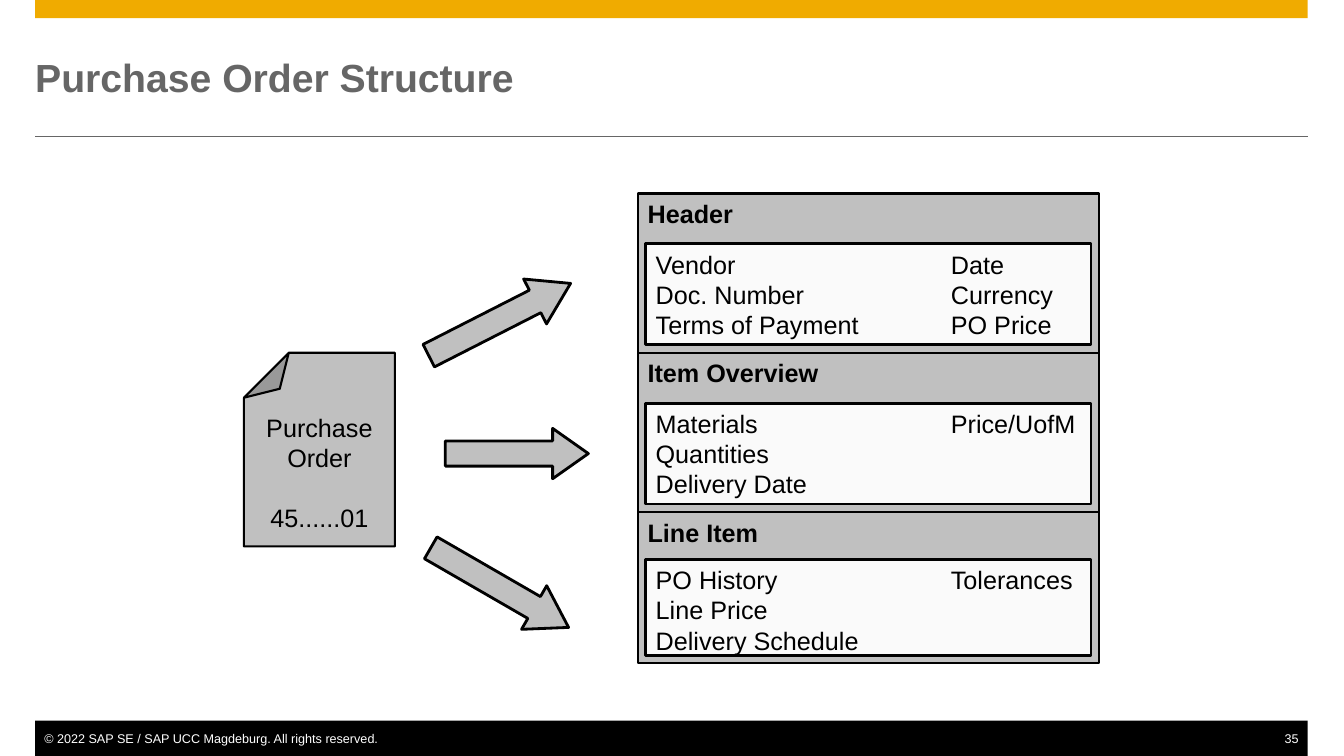
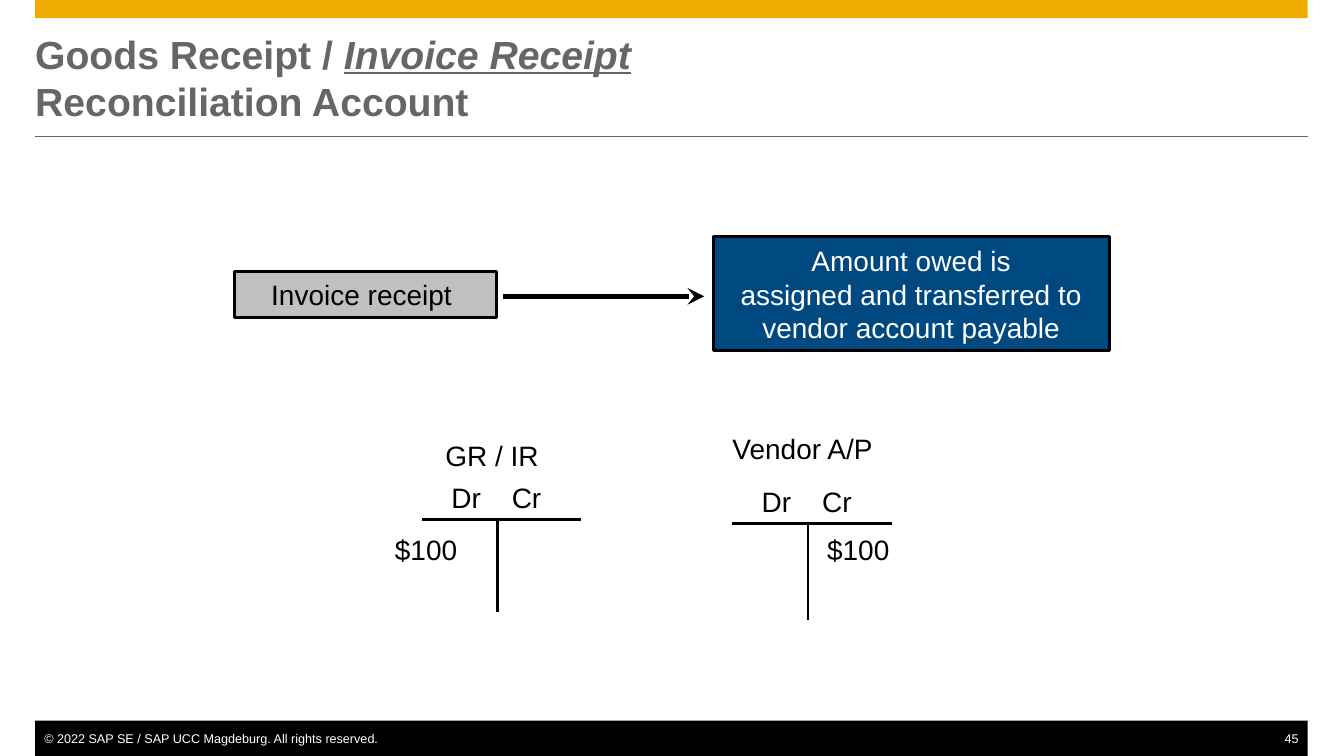
from dataclasses import dataclass

from lxml import etree
from pptx import Presentation
from pptx.dml.color import RGBColor
from pptx.enum.shapes import MSO_CONNECTOR, MSO_SHAPE
from pptx.enum.text import MSO_ANCHOR, PP_ALIGN
from pptx.oxml.ns import qn
from pptx.util import Pt

PX = 9144  # EMU in one px, 100 px to the inch
RECT, ARROW, SHEET = MSO_SHAPE.RECTANGLE, MSO_SHAPE.RIGHT_ARROW, MSO_SHAPE.FOLDED_CORNER
STRAIGHT = MSO_CONNECTOR.STRAIGHT
TOP, MIDDLE = MSO_ANCHOR.TOP, MSO_ANCHOR.MIDDLE
LEFT, CENTER, RIGHT = PP_ALIGN.LEFT, PP_ALIGN.CENTER, PP_ALIGN.RIGHT


@dataclass(frozen=True)
class Theme:
    font: str = "Arial"
    gold: str = "F0AB00"
    title: str = "666666"
    black: str = "000000"
    white: str = "FFFFFF"
    grey: str = "C0C0C0"
    panel: str = "FAFAFA"
    blue: str = "004880"
    title_size: int = 28
    flow_size: int = 20
    body_size: int = 18
    footer_size: int = 9


T = Theme()
SLIDE_W, SLIDE_H = 1334, 750
MARGIN, CONTENT_W = 35, 1263
COPYRIGHT = "© 2022 SAP SE / SAP UCC Magdeburg. All rights reserved."


def px(*lengths):
    return [n * PX for n in lengths]


def add_tab(p, position):
    tabs = etree.SubElement(p._p.get_or_add_pPr(), qn("a:tabLst"))
    etree.SubElement(tabs, qn("a:tab"), pos=str(position * PX), algn="l")


def write(sp, lines, size, color=T.black, align=LEFT, anchor=TOP, bold=False,
          insets=(10, 5, 10, 5), tab=None):
    """Fill a shape; a line is a string or a list of (text, emphasised) runs."""
    tf = sp.text_frame
    tf.word_wrap = True
    tf.vertical_anchor = anchor
    tf.margin_left, tf.margin_top, tf.margin_right, tf.margin_bottom = px(*insets)
    for i, line in enumerate(lines):
        p = tf.add_paragraph() if i else tf.paragraphs[0]
        p.alignment = align
        if tab:
            add_tab(p, tab)
        for text, emphasised in [(line, False)] if isinstance(line, str) else line:
            r = p.add_run()
            r.text = text
            f = r.font
            f.name, f.size, f.bold = T.font, Pt(size), bold
            f.color.rgb = RGBColor.from_string(color)
            if emphasised:
                f.italic = f.underline = True
    return tf


def add_shape(s, kind, box, fill, line=None):
    sp = s.shapes.add_shape(kind, *px(*box))
    sp.shadow.inherit = False
    sp.fill.solid()
    sp.fill.fore_color.rgb = RGBColor.from_string(fill)
    if line:
        sp.line.color.rgb = RGBColor.from_string(T.black)
        sp.line.width = Pt(line)
    else:
        sp.line.fill.background()
    return sp


def add_text(s, box, lines, size, **style):
    return write(s.shapes.add_textbox(*px(*box)), lines, size, **style)


def add_line(s, x1, y1, x2, y2, width, color=T.black, head=None):
    cx = s.shapes.add_connector(STRAIGHT, *px(x1, y1, x2, y2))
    cx.line.color.rgb = RGBColor.from_string(color)
    cx.line.width = Pt(width)
    sp_pr = cx._element.spPr
    if head:
        etree.SubElement(sp_pr.find(qn("a:ln")), qn("a:tailEnd"), type=head)
    etree.SubElement(sp_pr, qn("a:effectLst"))


def add_frame(prs, title, number):
    """Add a slide with its bands, title, rule and footer."""
    s = prs.slides.add_slide(prs.slide_layouts[6])
    add_shape(s, RECT, (MARGIN, 0, CONTENT_W, 18), T.gold)
    add_line(s, MARGIN, 135, MARGIN + CONTENT_W, 135, 0.5, T.title)
    add_shape(s, RECT, (MARGIN, 715, CONTENT_W, 35), T.black)
    footer = dict(size=T.footer_size, color=T.white)
    add_text(s, (MARGIN, 725, 600, 15), [COPYRIGHT], insets=(9, 0, 0, 0), **footer)
    add_text(s, (MARGIN + CONTENT_W - 100, 725, 100, 15), [str(number)],
             align=RIGHT, insets=(0, 0, 9, 0), **footer)
    add_text(s, (MARGIN, 35, CONTENT_W, 83), title, T.title_size, color=T.title,
             bold=True, anchor=MIDDLE, insets=(0, 0, 0, 0))
    return s


def add_document(s, x, y, w, h):
    """Draw a sheet turned upside down, fold at top left, with upright text."""
    sp = add_shape(s, SHEET, (x, y, w, h), T.grey, 1.5)
    guides = sp._element.spPr.find(qn("a:prstGeom")).get_or_add_avLst()
    for guide in list(guides):
        guides.remove(guide)
    etree.SubElement(guides, qn("a:gd"), name="adj", fmla="val 29700")
    sp.rotation = 180
    tf = write(sp, ["Purchase", "Order", "45......01"], T.body_size,
               align=CENTER, anchor=MIDDLE)
    tf.paragraphs[-1].space_before = Pt(21)
    sp._element.txBody.bodyPr.set("rot", str(180 * 60000))


def add_block_arrow(s, x, y, w, h, angle, head):
    sp = add_shape(s, ARROW, (x, y, w, h), T.grey, 2)
    sp.adjustments[0], sp.adjustments[1] = 0.5, head
    sp.rotation = angle


def add_sections(s, x, y, w, sections):
    """Stack headed boxes, each with a white panel at its foot."""
    gap = 8
    for heading, height, panel_h, lines in sections:
        outer = add_shape(s, RECT, (x, y, w, height), T.grey, 1.5)
        write(outer, [heading], T.body_size, bold=True)
        panel_box = (x + gap, y + height - gap - panel_h, w - 2 * gap, panel_h)
        panel = add_shape(s, RECT, panel_box, T.panel, 2)
        write(panel, lines, T.body_size, tab=293)
        y += height


def add_account(s, x, y, stem, name, name_at, amount_at):
    """Draw a T-account; name_at and amount_at are offsets from its bar."""
    add_line(s, x, y, x + 158, y, 2)
    add_line(s, x + 75, y, x + 75, y + stem, 2)
    labels = ((name, name_at), ("Dr\tCr", (29, -43)), ("$100", amount_at))
    for text, (dx, dy) in labels:
        add_text(s, (x + dx, y + dy, 180, 43), [text], T.flow_size,
                 insets=(0, 5, 0, 5), tab=60)


def purchase_order_slide(prs):
    s = add_frame(prs, ["Purchase Order Structure"], 35)
    add_sections(s, 633, 192, 458, [
        ("Header", 158, 100,
         ["Vendor\tDate", "Doc. Number\tCurrency", "Terms of Payment\tPO Price"]),
        ("Item Overview", 158, 100,
         ["Materials\tPrice/UofM", "Quantities", "Delivery Date"]),
        ("Line Item", 150, 95,
         ["PO History\tTolerances", "Line Price", "Delivery Schedule"]),
    ])
    add_document(s, 242, 350, 150, 192)
    for x, y, w, angle, head in ((417, 292, 158, 333, 0.79),
                                 (417, 558, 158, 30, 0.79),
                                 (442, 425, 142, 0, 0.71)):
        add_block_arrow(s, x, y, w, 50, angle, head)


def reconciliation_slide(prs):
    title = [[("Goods Receipt / ", False), ("Invoice Receipt", True)],
             "Reconciliation Account"]
    s = add_frame(prs, title, 45)
    flow = dict(size=T.flow_size, align=CENTER, anchor=MIDDLE)
    result = add_shape(s, RECT, (708, 235, 393, 113), T.blue, 2)
    write(result, ["Amount owed is", "assigned and transferred to",
                   "vendor account payable"], color=T.white, **flow)
    receipt = add_shape(s, RECT, (233, 269, 260, 46), T.grey, 2)
    write(receipt, ["Invoice receipt"], insets=(10, 5, 18, 5), **flow)
    add_line(s, 499, 294, 699, 294, 4, head="stealth")
    add_account(s, 419, 515, 92, "GR / IR", (23, -85), (-27, 8))
    add_account(s, 727, 519, 96, "Vendor A/P", (0, -96), (94, 4))


def main():
    prs = Presentation()
    prs.slide_width, prs.slide_height = px(SLIDE_W, SLIDE_H)
    purchase_order_slide(prs)
    reconciliation_slide(prs)
    prs.save("out.pptx")


if __name__ == "__main__":
    main()
